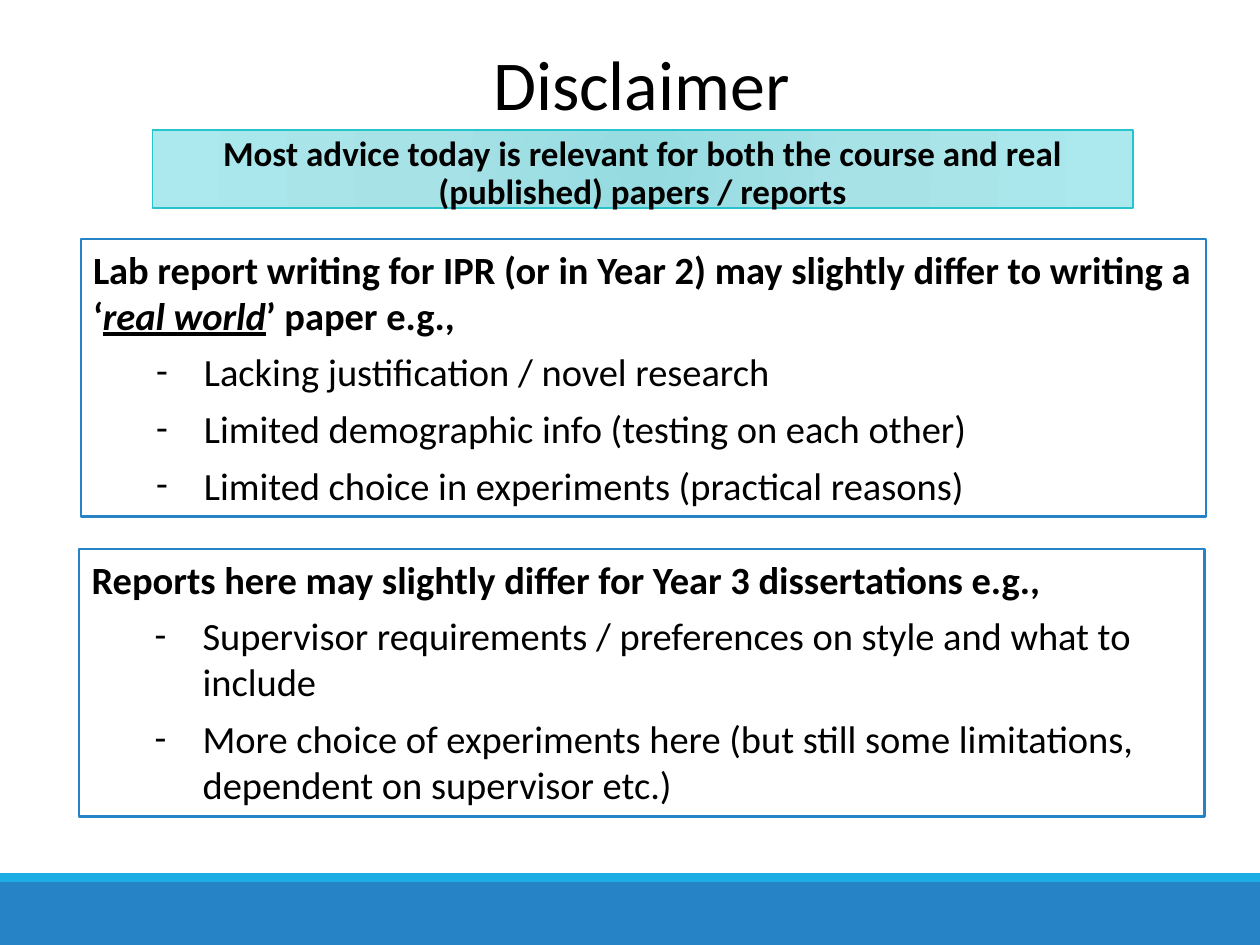
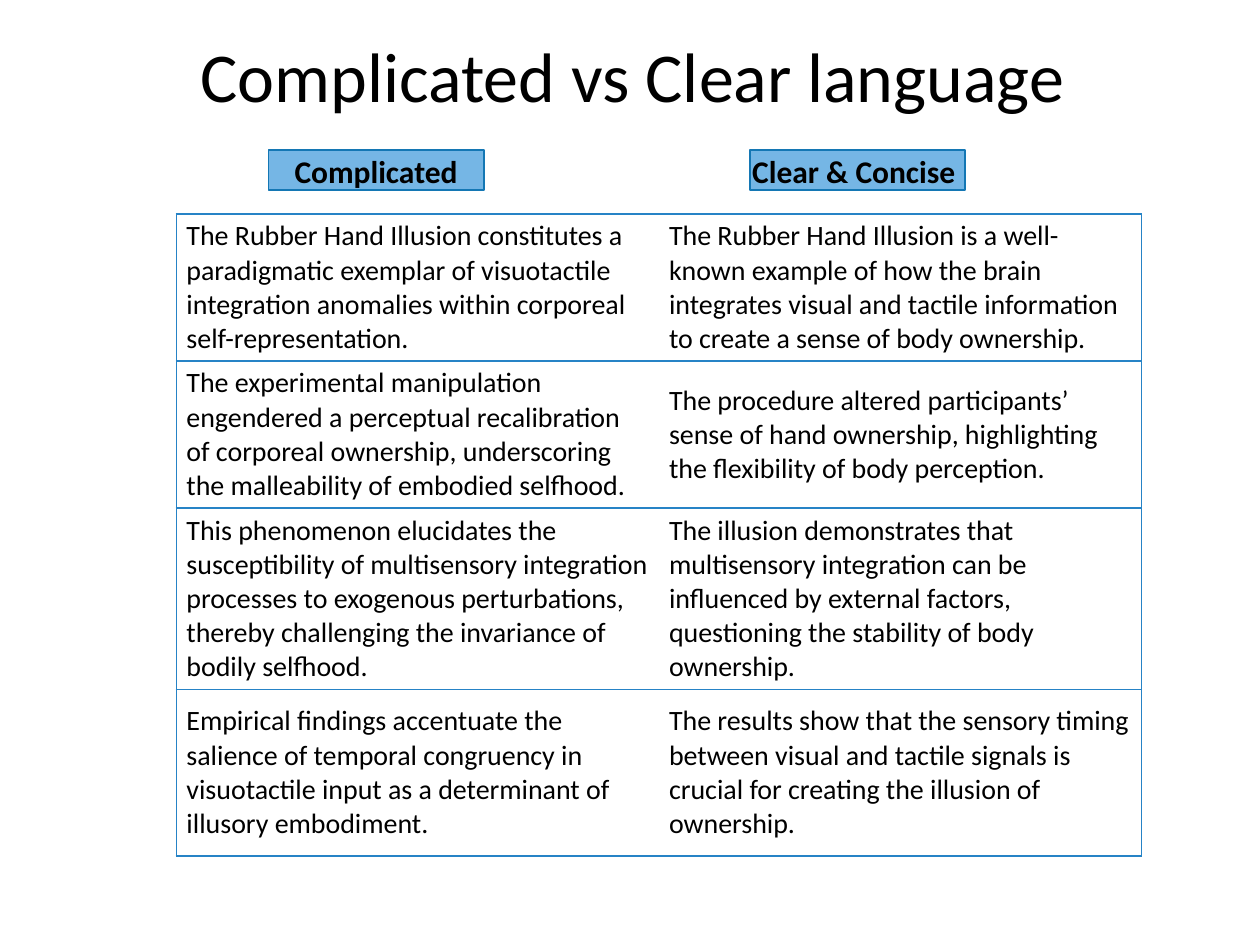
from lxml import etree
from pptx import Presentation
from pptx.dml.color import RGBColor
from pptx.enum import shapes, text
from pptx.oxml import parse_xml
from pptx.oxml.ns import nsdecls, qn
from pptx.util import Inches, Pt

COLOURS = {
    "text": "000000",
    "paper": "FFFFFF",
    "blue": "2683C6",
    "stripe": "1CADE4",
    "label": "75B6E5",
    "label_line": "1477B4",
    "banner_line": "28C4CC",
}
BANNER_STOPS = [(0, "95DBE0"), (45, "A7E2E7"), (100, "ACE9EE")]
FONT = "Calibri"

REPORT_NOTES = [
    [("Lab report writing for IPR (or in Year 2) may slightly differ to writing a ‘", False),
     ("real world", True),
     ("’ paper e.g.,", False)],
    "Lacking justification / novel research",
    "Limited demographic info (testing on each other)",
    "Limited choice in experiments (practical reasons)",
]
DISSERTATION_NOTES = [
    [("Reports here may slightly differ for Year 3 dissertations e.g.,", False)],
    "Supervisor requirements / preferences on style and what to include",
    "More choice of experiments here (but still some limitations, dependent on supervisor etc.)",
]
COMPARISONS = [
    ("The Rubber Hand Illusion constitutes a paradigmatic exemplar of visuotactile "
     "integration anomalies within corporeal self-representation.",
     "The Rubber Hand Illusion is a well-known example of how the brain integrates "
     "visual and tactile information to create a sense of body ownership."),
    ("The experimental manipulation engendered a perceptual recalibration of corporeal "
     "ownership, underscoring the malleability of embodied selfhood.",
     "The procedure altered participants’ sense of hand ownership, highlighting the "
     "flexibility of body perception."),
    ("This phenomenon elucidates the susceptibility of multisensory integration processes "
     "to exogenous perturbations, thereby challenging the invariance of bodily selfhood.",
     "The illusion demonstrates that multisensory integration can be influenced by "
     "external factors, questioning the stability of body ownership."),
    ("Empirical findings accentuate the salience of temporal congruency in visuotactile "
     "input as a determinant of illusory embodiment.",
     "The results show that the sensory timing between visual and tactile signals is "
     "crucial for creating the illusion of ownership."),
]
ROW_HEIGHTS = [1.16, 1.16, 1.44, 1.32]


def colour(name):
    return RGBColor.from_string(COLOURS[name])


def add_span(para, words, size, bold=False, stressed=False):
    span = para.add_run()
    span.text = words
    font = span.font
    font.name, font.size, font.bold = FONT, Pt(size), bold
    font.color.rgb = colour("text")
    if stressed:
        font.italic = font.underline = True


def add_box(page, place, fill, line=None, width=1):
    box = page.shapes.add_shape(shapes.MSO_SHAPE.RECTANGLE, *map(Inches, place))
    box.shadow.inherit = False
    box.fill.solid()
    box.fill.fore_color.rgb = colour(fill)
    if line:
        box.line.color.rgb = colour(line)
        box.line.width = Pt(width)
    else:
        box.line.fill.background()
    return box


def set_title(page, words, place, spacing):
    title = page.shapes.title
    title.left, title.top, title.width, title.height = map(Inches, place)
    frame = title.text_frame
    frame.word_wrap = True
    frame.auto_size = text.MSO_AUTO_SIZE.NONE
    frame.vertical_anchor = text.MSO_ANCHOR.TOP
    para = frame.paragraphs[0]
    para.alignment = text.PP_ALIGN.CENTER
    para.line_spacing = spacing
    add_span(para, words, 40)


def add_label(page, words, place, size, fill, line):
    box = add_box(page, place, fill, line)
    frame = box.text_frame
    frame.word_wrap = True
    frame.margin_left = frame.margin_right = 0
    frame.vertical_anchor = text.MSO_ANCHOR.TOP
    para = frame.paragraphs[0]
    para.alignment = text.PP_ALIGN.CENTER
    para.line_spacing = 0.9
    add_span(para, words, size, bold=True)
    return box


def set_glow(box, stops):
    stop_xml = "".join(
        f'<a:gs pos="{place * 1000}"><a:srgbClr val="{value}"/></a:gs>' for place, value in stops)
    solid = box.fill._xPr.find(qn("a:solidFill"))
    solid.getparent().replace(solid, parse_xml(
        f'<a:gradFill {nsdecls("a")} rotWithShape="1"><a:gsLst>{stop_xml}</a:gsLst>'
        '<a:path path="circle"><a:fillToRect l="50000" t="50000" r="50000" b="50000"/></a:path>'
        '</a:gradFill>'))


def add_dash(para):
    props = para._p.get_or_add_pPr()
    props.set("marL", str(Inches(0.88)))
    props.set("indent", str(Inches(-0.38)))
    etree.SubElement(props, qn("a:buFont"), typeface=FONT)
    etree.SubElement(props, qn("a:buChar"), char="-")


def add_notes(page, place, notes):
    frame = add_box(page, place, "paper", "blue", 1.25).text_frame
    frame.word_wrap = True
    frame.vertical_anchor = text.MSO_ANCHOR.TOP
    heading, *points = notes
    para = frame.paragraphs[0]
    para.alignment = text.PP_ALIGN.LEFT
    for words, stressed in heading:
        add_span(para, words, 22, bold=True, stressed=stressed)
    for point in points:
        para = frame.add_paragraph()
        para.level = 1
        add_dash(para)
        para.alignment = text.PP_ALIGN.LEFT
        para.space_before = Pt(6)
        add_span(para, point, 22)


def add_footer(page):
    add_box(page, (0, 7, 10, 0.5), "blue")
    add_box(page, (0, 6.93, 10, 0.07), "stripe")


def set_borders(cell, drawn):
    props = cell._tc.get_or_add_tcPr()
    for place, side in enumerate("LRTB"):
        paint = (f'<a:solidFill><a:srgbClr val="{COLOURS["blue"]}"/></a:solidFill>'
                 if side in drawn else "<a:noFill/>")
        props.insert(place, parse_xml(
            f'<a:ln{side} {nsdecls("a")} w="{Pt(1)}">{paint}</a:ln{side}>'))


def add_comparison(page, left, top, column_width):
    frame = page.shapes.add_table(
        len(COMPARISONS), 2, Inches(left), Inches(top),
        Inches(2 * column_width), Inches(sum(ROW_HEIGHTS)))
    table = frame.table
    table.first_row = table.horz_banding = False
    for column in table.columns:
        column.width = Inches(column_width)
    for row, height, sentences in zip(table.rows, ROW_HEIGHTS, COMPARISONS):
        row.height = Inches(height)
        for cell, sentence, drawn in zip(row.cells, sentences, ("LTB", "RTB")):
            cell.fill.solid()
            cell.fill.fore_color.rgb = colour("paper")
            cell.vertical_anchor = text.MSO_ANCHOR.MIDDLE
            cell.margin_left = cell.margin_right = Inches(0.08)
            cell.margin_top = cell.margin_bottom = Inches(0.04)
            add_span(cell.text_frame.paragraphs[0], sentence, 16)
            set_borders(cell, drawn)


def build_disclaimer(page):
    add_footer(page)
    set_title(page, "Disclaimer", (0.82, 0.35, 8.54, 1), 0.9)
    add_notes(page, (0.64, 1.9, 8.93, 2.2), REPORT_NOTES)
    add_notes(page, (0.63, 4.36, 8.93, 2.12), DISSERTATION_NOTES)
    banner = add_label(
        page, "Most advice today is relevant for both the course and real (published) papers / reports",
        (1.21, 1.03, 7.78, 0.62), 20, "paper", "banner_line")
    set_glow(banner, BANNER_STOPS)


def build_language(page):
    set_title(page, "Complicated vs Clear language", (0.46, 0.21, 9.12, 0.78), 1.0)
    add_comparison(page, 1.4, 1.7, 3.83)
    for words, left in (("Complicated", 2.13), ("Clear & Concise ", 5.95)):
        add_label(page, words, (left, 1.19, 1.71, 0.32), 18, "label", "label_line")


def main():
    deck = Presentation()
    deck.slide_width, deck.slide_height = Inches(10), Inches(7.5)
    for build in (build_disclaimer, build_language):
        build(deck.slides.add_slide(deck.slide_layouts[5]))
    deck.save("out.pptx")


if __name__ == "__main__":
    main()
